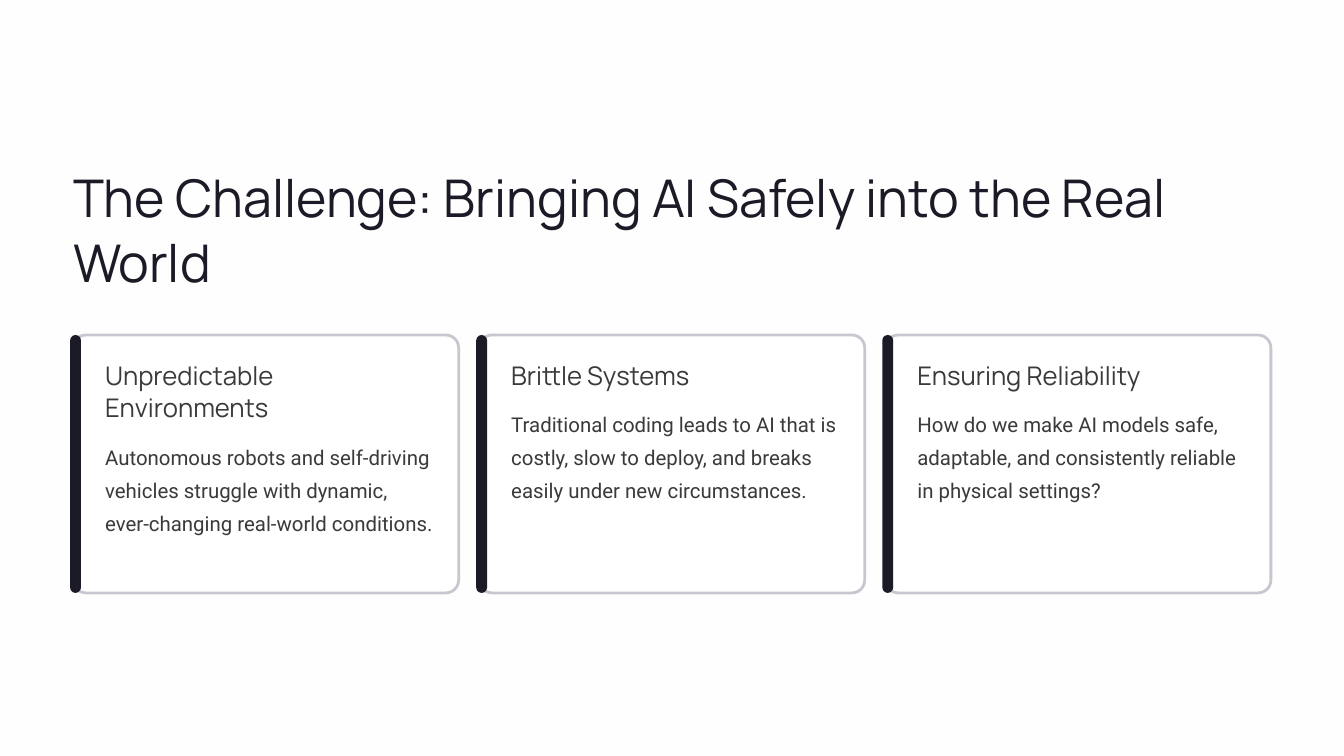
import pptx
import pptx.util
import pptx.dml.color
import pptx.enum.shapes
from pptx.util import Cm, Pt

TITLE = "The Challenge: Bringing AI Safely into the Real World"
# heading, lines it takes, body, lines it takes
CARDS = [
    ("Unpredictable Environments", 2,
     "Autonomous robots and self-driving vehicles struggle with dynamic, "
     "ever-changing real-world conditions.", 4),
    ("Brittle Systems", 1,
     "Traditional coding leads to AI that is costly, slow to deploy, and breaks "
     "easily under new circumstances.", 3),
    ("Ensuring Reliability", 1,
     "How do we make AI models safe, adaptable, and consistently reliable "
     "in physical settings?", 3),
]

PAPER, WHITE, INK, TEXT, BORDER = "FEFEFE", "FFFFFF", "1B1B27", "3C3939", "C7C7D0"

LEFT, CARD_TOP = 2.21, 10.13
CARD_WIDTH, CARD_HEIGHT, CARD_PITCH = 11.66, 7.8, 12.28
BAR_WIDTH, BAR_SHIFT = 0.33, -0.09
TEXT_INDENT, TEXT_TOP, TEXT_WIDTH = 0.97, 10.85, 9.98
HEADING_LINE, BODY_LINE, HEADING_GAP = 0.99, 1.01, 0.35


def color(value):
    return pptx.dml.color.RGBColor.from_string(value)


def add_rounded(page, left, width, corner, fill, border=None):
    """Add a rounded rectangle as tall as a card."""
    shape = page.shapes.add_shape(
        pptx.enum.shapes.MSO_SHAPE.ROUNDED_RECTANGLE,
        Cm(left), Cm(CARD_TOP), Cm(width), Cm(CARD_HEIGHT))
    shape.adjustments[0] = corner
    shape.shadow.inherit = False
    shape.fill.solid()
    shape.fill.fore_color.rgb = color(fill)
    if border:
        shape.line.color.rgb = color(border)
        shape.line.width = Pt(2.4)
    else:
        shape.line.fill.background()


def add_text(page, text, left, top, width, height, font, size, spacing, ink):
    box = page.shapes.add_textbox(Cm(left), Cm(top), Cm(width), Cm(height))
    frame = box.text_frame
    frame.word_wrap = True
    frame.margin_left = frame.margin_right = frame.margin_top = frame.margin_bottom = 0
    frame.text = text
    para = frame.paragraphs[0]
    para.line_spacing = Pt(spacing)
    span = para.runs[0]
    span.font.name = font
    span.font.size = Pt(size)
    span.font.color.rgb = color(ink)


def main():
    deck = pptx.Presentation()
    deck.slide_width, deck.slide_height = Cm(40.64), Cm(22.86)
    page = deck.slides.add_slide(deck.slide_layouts[6])
    page.background.fill.solid()
    page.background.fill.fore_color.rgb = color(PAPER)

    add_text(page, TITLE, LEFT, 4.93, 36.22, 3.94, "Manrope", 44.5, 55.5, INK)
    for index, (heading, heading_lines, body, body_lines) in enumerate(CARDS):
        left = LEFT + index * CARD_PITCH
        add_rounded(page, left, CARD_WIDTH, 0.05, WHITE, BORDER)
        add_rounded(page, left + BAR_SHIFT, BAR_WIDTH, 0.5, INK)
        text_left = left + TEXT_INDENT
        heading_height = heading_lines * HEADING_LINE
        add_text(page, heading, text_left, TEXT_TOP, TEXT_WIDTH, heading_height,
                 "Manrope", 22, 27.5, TEXT)
        add_text(page, body, text_left, TEXT_TOP + heading_height + HEADING_GAP,
                 TEXT_WIDTH, body_lines * BODY_LINE, "Roboto", 17.5, 28.5, TEXT)
    deck.save("out.pptx")


if __name__ == "__main__":
    main()
